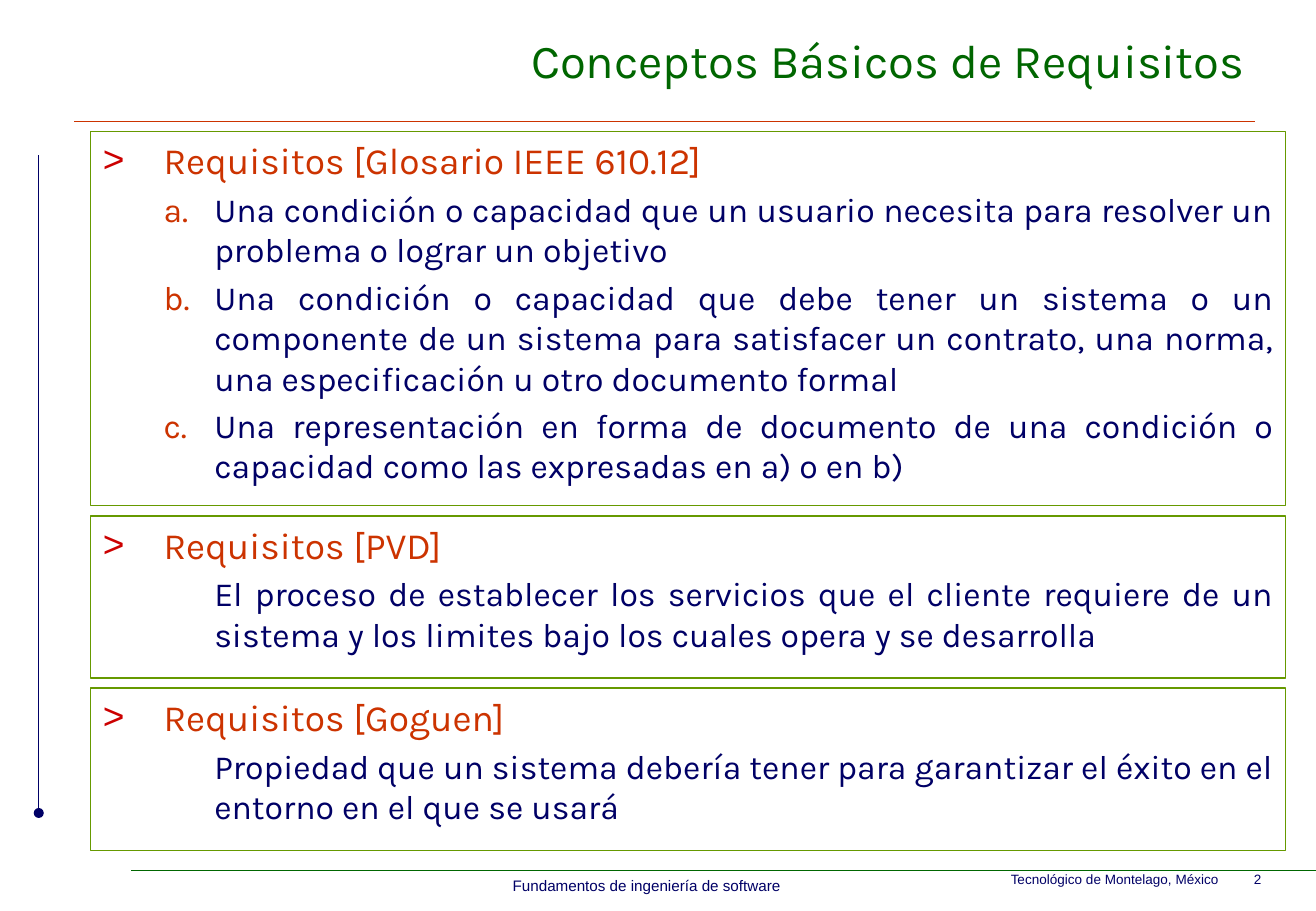
"""Build the slide on basic concepts of requirements."""
from dataclasses import dataclass

from pptx import Presentation
from pptx import util as u
from pptx.dml.color import RGBColor
from pptx.enum import shapes, text
from pptx.oxml.ns import qn
from lxml import etree


@dataclass(frozen=True)
class Theme:
    """Colours, fonts and type sizes of the slide."""
    navy: str = "000066"
    green: str = "006600"
    border: str = "669900"
    orange: str = "CC3300"
    red: str = "CC0000"
    white: str = "FFFFFF"
    body_font: str = "Karla"
    footer_font: str = "Arial"
    title: int = 28
    heading: int = 22
    body: int = 20
    footer: int = 9
    credit: int = 8


T = Theme()
ALIGN = text.PP_ALIGN
BOX_LEFT, BOX_TOP, BOX_WIDTH, BOX_GAP = 1.9, 2.75, 24.98, 0.21

DEFINITIONS = [
    (7.83, "Requisitos [Glosario IEEE 610.12]", True, [
        "Una condición o capacidad que un usuario necesita para resolver un "
        "problema o lograr un objetivo",
        "Una condición o capacidad que debe tener un sistema o un componente "
        "de un sistema para satisfacer un contrato, una norma, una "
        "especificación u otro documento formal",
        "Una representación en forma de documento de una condición o "
        "capacidad como las expresadas en a) o en b)",
    ]),
    (3.39, "Requisitos [PVD]", False, [
        "El proceso de establecer los servicios que el cliente requiere de un "
        "sistema y los limites bajo los cuales opera y se desarrolla",
    ]),
    (3.39, "Requisitos [Goguen]", False, [
        "Propiedad que un sistema debería tener para garantizar el éxito en "
        "el entorno en el que se usará",
    ]),
]


def rgb(value):
    """Return a colour from its hex value."""
    return RGBColor.from_string(value)


def child(parent, tag, **attrs):
    """Append an XML child with the given attributes."""
    return etree.SubElement(parent, qn(tag), **attrs)


def add_run(p, words, size, color, font=T.body_font):
    """Add one formatted run to a paragraph."""
    r = p.add_run()
    r.text = words
    r.font.size, r.font.name = u.Pt(size), font
    r.font.color.rgb = rgb(color)


def add_rule(s, x1, y1, x2, y2, color, width, dot=False):
    """Draw a straight line, with a round end if wanted."""
    line = s.shapes.add_connector(
        shapes.MSO_CONNECTOR.STRAIGHT, *map(u.Cm, (x1, y1, x2, y2)))
    line.line.color.rgb = rgb(color)
    line.line.width = u.Pt(width)
    sp_pr = line._element.spPr
    if dot:
        child(sp_pr.find(qn("a:ln")), "a:tailEnd", type="oval")
    child(sp_pr, "a:effectLst")


def add_label(s, box, words, size, color, font, align=ALIGN.LEFT,
              anchor=text.MSO_ANCHOR.TOP, before=0, wrap=True):
    """Add a text box with a single line of text."""
    tf = s.shapes.add_textbox(*map(u.Cm, box)).text_frame
    tf.word_wrap, tf.vertical_anchor = wrap, anchor
    p = tf.paragraphs[0]
    p.alignment, p.space_before = align, u.Pt(before)
    add_run(p, words, size, color, font)


def format_item(p, margin, hanging, size):
    """Justify a paragraph, space it and give it a hanging indent."""
    p.alignment, p.space_before = ALIGN.JUSTIFY, u.Pt(size * 0.2)
    p_pr = p._p.get_or_add_pPr()
    p_pr.set("marL", str(u.Cm(margin)))
    p_pr.set("indent", str(-u.Cm(hanging)))
    return p_pr


def add_bullet_color(p_pr, color):
    """Set the colour of a bullet."""
    child(child(p_pr, "a:buClr"), "a:srgbClr", val=color)


def add_heading(p, words):
    """Fill a paragraph as a heading marked with an angle bracket."""
    p_pr = format_item(p, 1.27, 1.27, T.heading)
    add_bullet_color(p_pr, T.red)
    child(p_pr, "a:buFont", typeface=T.footer_font)
    child(p_pr, "a:buChar", char=">")
    add_run(p, words, T.heading, T.orange)


def add_item(p, words, number=None):
    """Fill a paragraph as a definition, lettered if it has a number."""
    p.level = 1
    p_pr = format_item(p, 2.33, 1.06, T.body)
    if number:
        add_bullet_color(p_pr, T.orange)
        child(p_pr, "a:buAutoNum", type="alphaLcPeriod", startAt=str(number))
    else:
        child(p_pr, "a:buNone")
        words = "\t" + words
    add_run(p, words, T.body, T.navy)


def add_definition(s, top, height, heading, lettered, items):
    """Add a bordered box with a heading and its definitions."""
    sp = s.shapes.add_shape(
        shapes.MSO_SHAPE.RECTANGLE,
        *map(u.Cm, (BOX_LEFT, top, BOX_WIDTH, height)))
    sp.shadow.inherit = False
    sp.fill.solid()
    sp.fill.fore_color.rgb = rgb(T.white)
    sp.line.color.rgb = rgb(T.border)
    sp.line.width = u.Pt(0.75)
    tf = sp.text_frame
    tf.word_wrap, tf.vertical_anchor = True, text.MSO_ANCHOR.TOP
    add_heading(tf.paragraphs[0], heading)
    for number, words in enumerate(items, 1):
        add_item(tf.add_paragraph(), words, number if lettered else None)


def main():
    """Build and save the slide."""
    prs = Presentation()
    prs.slide_width, prs.slide_height = u.Cm(27.51), u.Cm(19.05)
    s = prs.slides.add_slide(prs.slide_layouts[6])

    add_rule(s, 1.55, 2.54, 26.24, 2.54, T.orange, 0.5)
    add_rule(s, 2.74, 18.2, 27.51, 18.2, T.green, 0.25)
    add_rule(s, 0.81, 3.25, 0.81, 17, T.navy, 0.75, dot=True)

    add_label(s, (20.88, 18.1, 6.5, 0.6),
              "Tecnológico de Montelago, México\t2",
              T.credit, T.navy, T.footer_font)
    add_label(s, (10.44, 18.2, 6.15, 0.64),
              "Fundamentos de ingeniería de software",
              T.footer, T.navy, T.footer_font, ALIGN.CENTER,
              before=4.5, wrap=False)
    add_label(s, (1.7, 0.2, 24.56, 2.1), "Conceptos Básicos de Requisitos",
              T.title, T.green, T.body_font, ALIGN.RIGHT,
              text.MSO_ANCHOR.MIDDLE)

    top = BOX_TOP
    for height, heading, lettered, items in DEFINITIONS:
        add_definition(s, top, height, heading, lettered, items)
        top += height + BOX_GAP

    prs.save("out.pptx")


if __name__ == "__main__":
    main()
